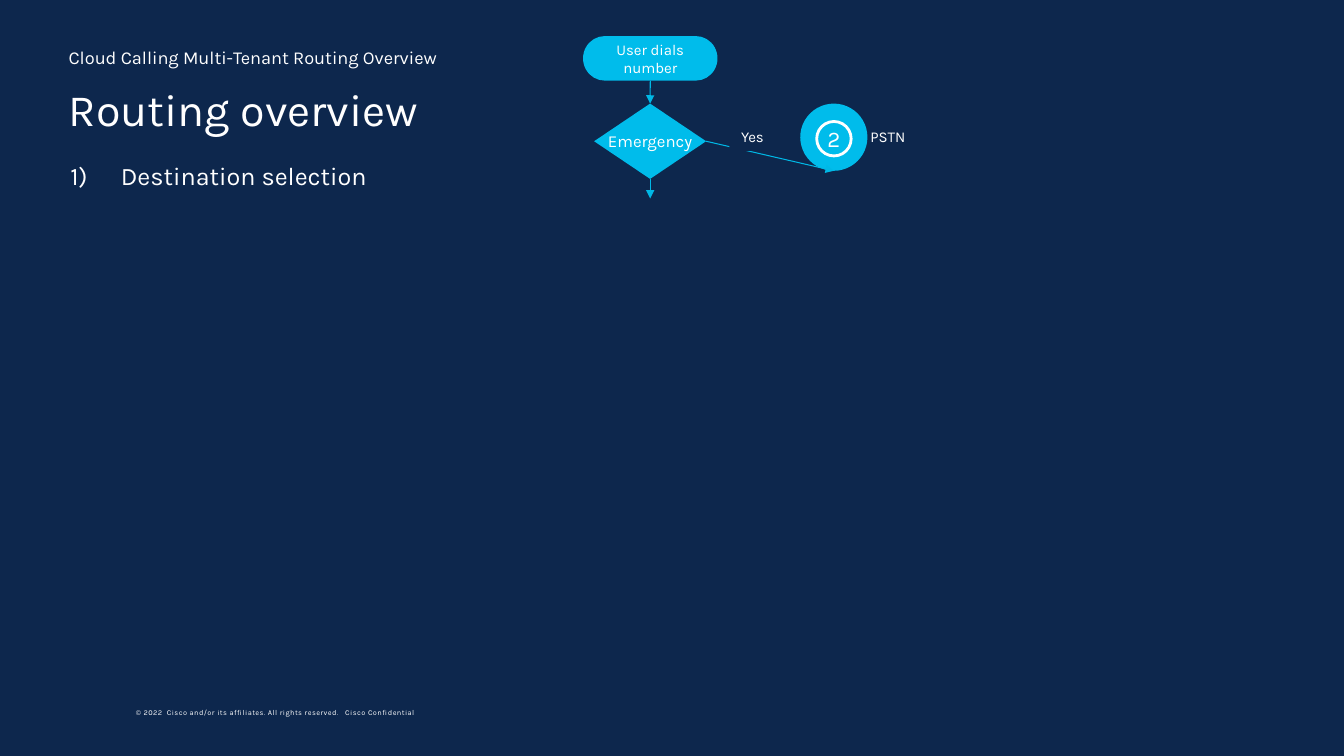
from dataclasses import dataclass
from typing import Optional

from lxml.etree import SubElement
from pptx import Presentation
from pptx.dml.color import RGBColor
from pptx.enum.shapes import MSO_CONNECTOR, MSO_SHAPE as Shape
from pptx.enum.text import MSO_ANCHOR as Anchor, MSO_AUTO_SIZE as AutoSize, PP_ALIGN as Align
from pptx.oxml.ns import qn
from pptx.util import Pt


@dataclass(frozen=True)
class Theme:
    font: str = "Karla"
    navy: RGBColor = RGBColor(0x0D, 0x27, 0x4D)
    cyan: RGBColor = RGBColor(0x00, 0xBC, 0xEB)
    arrow: RGBColor = RGBColor(0x00, 0xB8, 0xE6)
    white: RGBColor = RGBColor(0xFF, 0xFF, 0xFF)
    title: float = 32
    step: float = 18
    number: float = 16
    kicker: float = 13
    decision: float = 12
    label: float = 10.7
    footer: float = 5.3


THEME = Theme()


@dataclass(frozen=True)
class Box:
    left: float
    top: float
    width: float
    height: float


@dataclass(frozen=True)
class Label:
    text: str
    size: float
    align: Align = Align.LEFT
    anchor: Anchor = Anchor.TOP
    inset_x: float = 7.2
    inset_y: float = 3.6
    wrap: bool = True
    line_spacing: Optional[float] = None
    tracking: Optional[int] = None
    numbered: bool = False


@dataclass(frozen=True)
class Node:
    kind: Shape
    box: Box
    label: Optional[Label] = None
    fill: Optional[RGBColor] = THEME.cyan
    outline: Optional[RGBColor] = None


def write(sp, label: Label) -> None:
    tf = sp.text_frame
    tf.auto_size = AutoSize.NONE
    tf.word_wrap = label.wrap
    tf.vertical_anchor = label.anchor
    tf.margin_left = tf.margin_right = Pt(label.inset_x)
    tf.margin_top = tf.margin_bottom = Pt(label.inset_y)
    p = tf.paragraphs[0]
    p.alignment = label.align
    if label.line_spacing:
        p.line_spacing = label.line_spacing
    if label.numbered:
        props = p._p.get_or_add_pPr()
        props.set("marL", str(Pt(36)))
        props.set("indent", str(Pt(-36)))
        SubElement(props, qn("a:buFont"), typeface=THEME.font)
        SubElement(props, qn("a:buAutoNum"), type="arabicParenR")
    r = p.add_run()
    r.text = label.text
    r.font.name = THEME.font
    r.font.size = Pt(label.size)
    r.font.color.rgb = THEME.white
    if label.tracking:
        r._r.get_or_add_rPr().set("spc", str(label.tracking))


def add_text(s, box: Box, label: Label) -> None:
    sp = s.shapes.add_textbox(Pt(box.left), Pt(box.top), Pt(box.width), Pt(box.height))
    write(sp, label)


def add_title(s, box: Box, label: Label) -> None:
    sp = s.shapes.title
    sp.left, sp.top = Pt(box.left), Pt(box.top)
    sp.width, sp.height = Pt(box.width), Pt(box.height)
    write(sp, label)


def add_node(s, node: Node):
    b = node.box
    sp = s.shapes.add_shape(node.kind, Pt(b.left), Pt(b.top), Pt(b.width), Pt(b.height))
    sp.shadow.inherit = False
    if node.fill is None:
        sp.fill.background()
    else:
        sp.fill.solid()
        sp.fill.fore_color.rgb = node.fill
    if node.outline is None:
        sp.line.fill.background()
    else:
        sp.line.color.rgb = node.outline
        sp.line.width = Pt(2)
    if node.label:
        write(sp, node.label)
    return sp


def add_arrow(s, start, start_site: int, end=None, end_site: int = 0, drop: float = 0) -> None:
    cx = s.shapes.add_connector(MSO_CONNECTOR.STRAIGHT, 0, 0, 0, 0)
    cx.begin_connect(start, start_site)
    if end is None:
        cx.end_x, cx.end_y = cx.begin_x, cx.begin_y + Pt(drop)
    else:
        cx.end_connect(end, end_site)
    cx.line.color.rgb = THEME.arrow
    cx.line.width = Pt(0.75)
    SubElement(cx.line._get_or_add_ln(), qn("a:tailEnd"), type="triangle")
    SubElement(cx._element.spPr, qn("a:effectLst"))


def centred(text: str, size: float, **options) -> Label:
    return Label(text, size, Align.CENTER, Anchor.MIDDLE, **options)


def main() -> None:
    prs = Presentation()
    prs.slide_width, prs.slide_height = Pt(960), Pt(540)
    s = prs.slides.add_slide(prs.slide_layouts[5])
    s.background.fill.solid()
    s.background.fill.fore_color.rgb = THEME.navy

    add_text(s, Box(90, 502.6, 357, 13),
             Label("© 2022  Cisco and/or its affiliates. All rights reserved.   Cisco Confidential",
                   THEME.footer, anchor=Anchor.BOTTOM, tracking=30))
    add_text(s, Box(49, 34, 275, 24),
             Label("Cloud Calling Multi-Tenant Routing Overview", THEME.kicker,
                   inset_x=0, inset_y=0, line_spacing=0.95))
    add_title(s, Box(49, 58.3, 587.5, 38),
              Label("Routing overview", THEME.title, inset_x=0, inset_y=0))
    add_text(s, Box(43.2, 110.9, 353.5, 29),
             Label("Destination selection", THEME.step, numbered=True))

    start = add_node(s, Node(Shape.FLOWCHART_TERMINATOR, Box(416.5, 25.8, 96, 31.8),
                             centred("User dials number", THEME.label)))
    decision = add_node(s, Node(Shape.FLOWCHART_DECISION, Box(424.4, 74, 80, 53.8),
                                centred("Emergency", THEME.decision, inset_x=0, wrap=False)))
    pstn = add_node(s, Node(Shape.FLOWCHART_CONNECTOR, Box(571.6, 74, 48, 48)))
    add_node(s, Node(Shape.OVAL, Box(583.4, 86.8, 24.6, 24.6),
                     centred("2", THEME.number, inset_x=0, inset_y=0, wrap=False),
                     fill=None, outline=THEME.white))
    add_text(s, Box(614.7, 87.8, 116, 20), Label("PSTN", THEME.label))

    add_arrow(s, start, 2, decision, 0)
    add_arrow(s, decision, 2, drop=14)
    add_arrow(s, decision, 3, pstn, 2)
    add_node(s, Node(Shape.RECTANGLE, Box(521, 87.8, 33, 20),
                     centred("Yes", THEME.label, wrap=False), fill=THEME.navy))
    prs.save("out.pptx")


if __name__ == "__main__":
    main()
